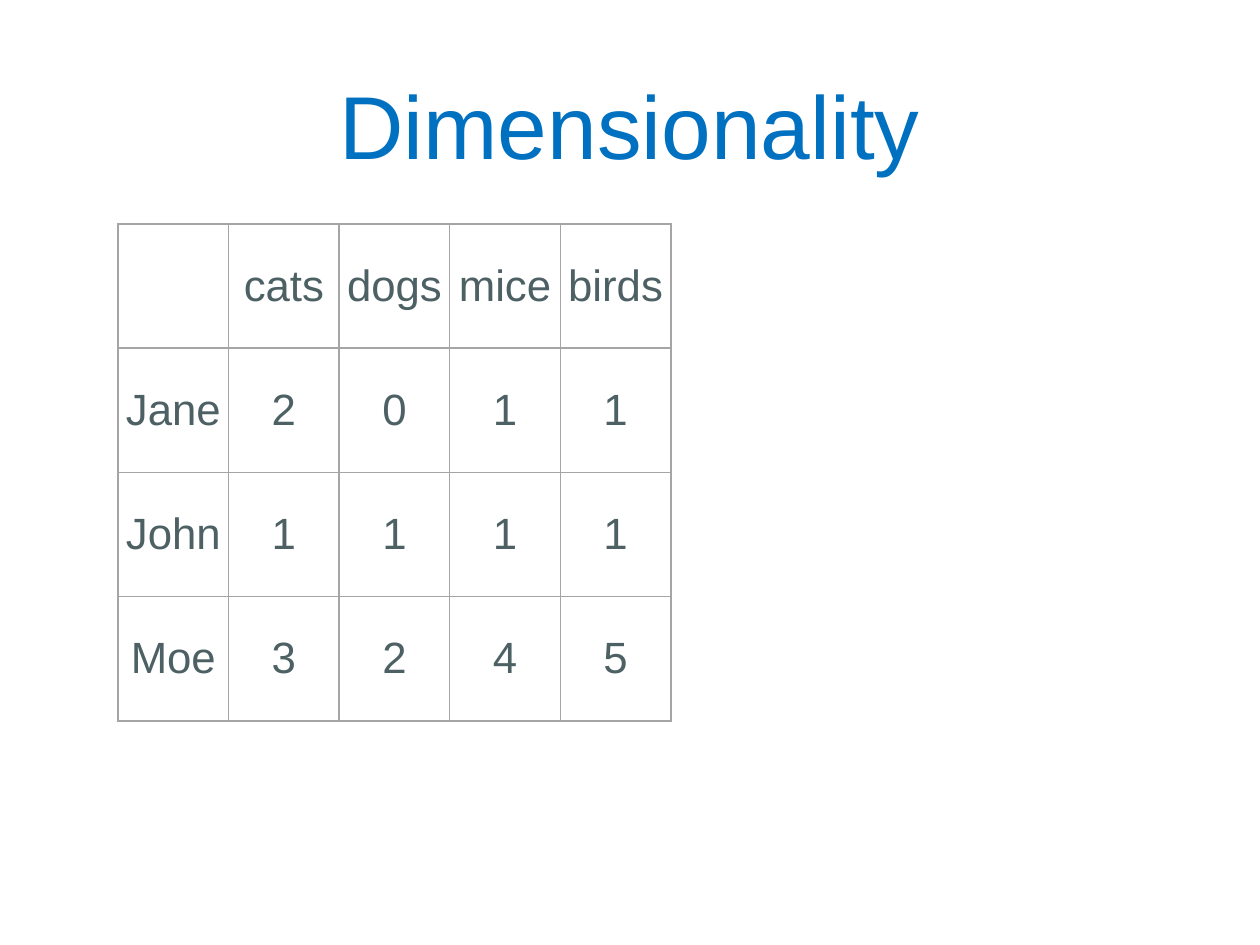
"""Build the Dimensionality slide: a title and a table of pet counts."""
from dataclasses import dataclass

from lxml import etree
from pptx import Presentation
from pptx import util as u
from pptx.dml.color import RGBColor
from pptx.enum import text
from pptx.oxml import ns

TITLE = "Dimensionality"
PET_COUNTS = [
    ("", "cats", "dogs", "mice", "birds"),
    ("Jane", "2", "0", "1", "1"),
    ("John", "1", "1", "1", "1"),
    ("Moe", "3", "2", "4", "5"),
]
TITLE_AREA = (34, 60, 1191, 122)
TABLE_AREA = (118, 224, 553, 497)
PX_PER_INCH = 126
INSET = 5


@dataclass(frozen=True)
class Theme:
    font: str = "Arial"
    title_color: str = "0070C0"
    title_size: int = 51
    cell_color: str = "4D6165"
    cell_size: int = 25
    border_color: str = "A4A5A4"
    border_width: int = 1


THEME = Theme()


def px(length):
    return u.Emu(round(length * u.Inches(1) / PX_PER_INCH))


def write(holder, words, *, size, color, anchor):
    holder.vertical_anchor = anchor
    for side in ("left", "top", "right", "bottom"):
        setattr(holder, f"margin_{side}", px(INSET))
    if not words:
        return
    paragraph = getattr(holder, "text_frame", holder).paragraphs[0]
    paragraph.alignment = text.PP_ALIGN.CENTER
    run = paragraph.add_run()
    run.text = words
    run.font.name = THEME.font
    run.font.size = u.Pt(size)
    run.font.color.rgb = RGBColor.from_string(color)


def add_borders(cell):
    properties = cell._tc.get_or_add_tcPr()
    for place, side in enumerate(("lnL", "lnR", "lnT", "lnB")):
        border = etree.Element(ns.qn(f"a:{side}"), w=str(u.Pt(THEME.border_width)))
        fill = etree.SubElement(border, ns.qn("a:solidFill"))
        etree.SubElement(fill, ns.qn("a:srgbClr"), val=THEME.border_color)
        properties.insert(place, border)


def add_title(slide):
    title = slide.shapes.title
    title.left, title.top, title.width, title.height = map(px, TITLE_AREA)
    frame = title.text_frame
    frame.word_wrap = True
    frame.auto_size = text.MSO_AUTO_SIZE.NONE
    write(frame, TITLE, size=THEME.title_size, color=THEME.title_color,
          anchor=text.MSO_ANCHOR.BOTTOM)


def add_pet_table(slide):
    row_count, column_count = len(PET_COUNTS), len(PET_COUNTS[0])
    table = slide.shapes.add_table(row_count, column_count, *map(px, TABLE_AREA)).table
    table.first_row = table.horz_banding = False
    for r, row in enumerate(PET_COUNTS):
        for c, words in enumerate(row):
            cell = table.cell(r, c)
            cell.fill.background()
            add_borders(cell)
            write(cell, words, size=THEME.cell_size, color=THEME.cell_color,
                  anchor=text.MSO_ANCHOR.MIDDLE)


def main():
    deck = Presentation()
    deck.slide_width, deck.slide_height = px(1260), px(945)
    slide = deck.slides.add_slide(deck.slide_layouts[5])
    add_title(slide)
    add_pet_table(slide)
    deck.save("out.pptx")


if __name__ == "__main__":
    main()
